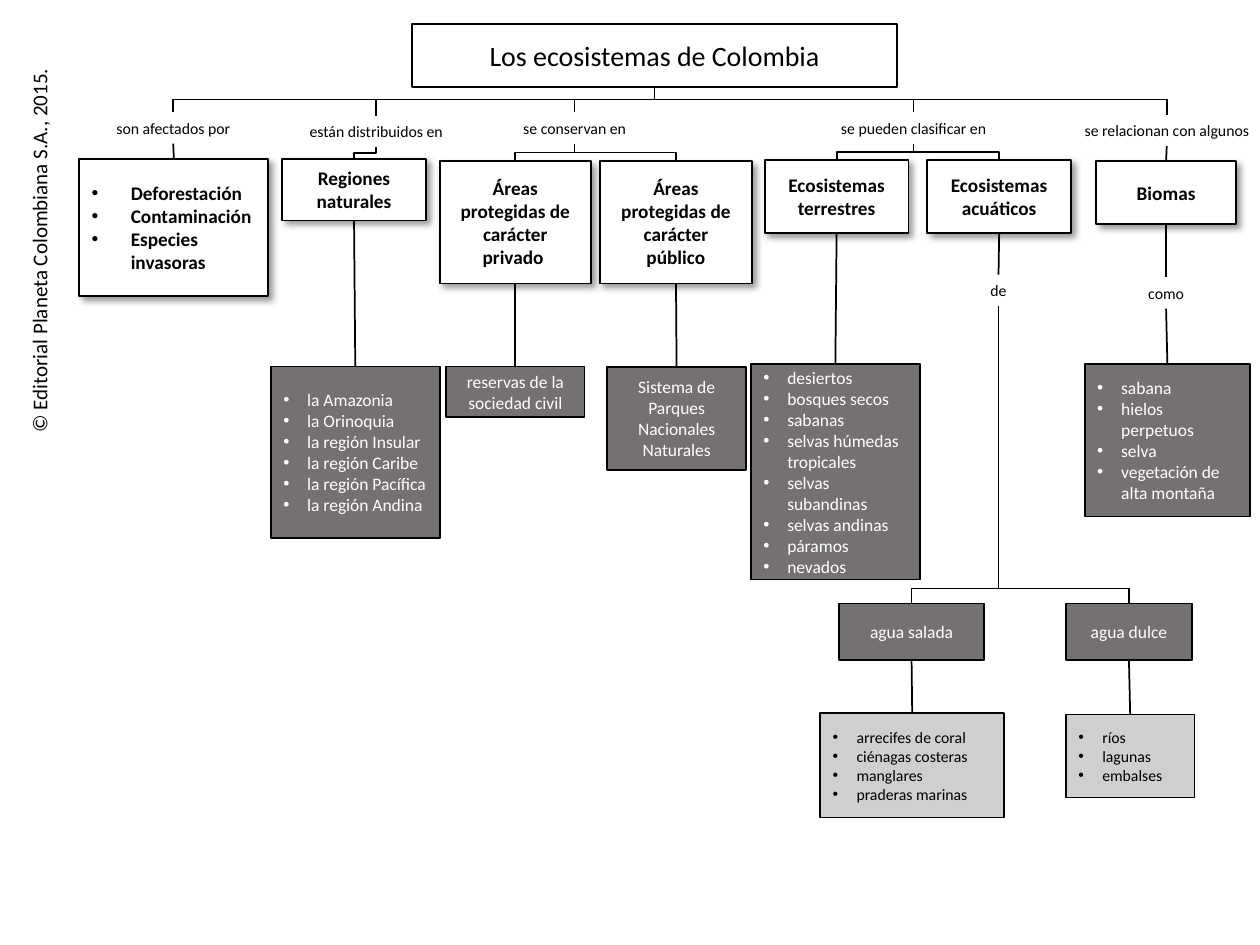
from lxml.etree import SubElement
from pptx import Presentation
from pptx.dml.color import RGBColor
from pptx.enum.shapes import MSO_CONNECTOR, MSO_SHAPE
from pptx.enum.text import MSO_ANCHOR, MSO_AUTO_SIZE, PP_ALIGN
from pptx.oxml.ns import qn
from pptx.util import Inches, Pt

BLACK = RGBColor(0x00, 0x00, 0x00)
WHITE = RGBColor(0xFF, 0xFF, 0xFF)
DARK_GRAY = RGBColor(0x76, 0x71, 0x71)
LIGHT_GRAY = RGBColor(0xD0, 0xCE, 0xCE)
FONT = "Calibri"
BOTTOM, TOP = 2, 0
BUS_TOP = 0.79
BOX_GAP = 0.47  # from the horizontal bus to the concept boxes


# Text and boxes
def style_paragraph(paragraph, size, color, bold=False):
    paragraph.font.name = FONT
    paragraph.font.size = Pt(size)
    paragraph.font.color.rgb = color
    paragraph.font.bold = bold


def add_bullet(paragraph, indent):
    properties = paragraph._p.get_or_add_pPr()
    properties.set("marL", str(Inches(indent)))
    properties.set("indent", str(-Inches(indent)))
    SubElement(properties, qn("a:buFont"), typeface="Arial")
    SubElement(properties, qn("a:buChar"), char="•")


def add_soft_shadow(shape):
    effects = shape._element.spPr.find(qn("a:effectLst"))
    shadow = SubElement(effects, qn("a:outerShdw"), blurRad=str(Pt(4)), dist=str(Pt(3)),
                        dir="2700000", algn="tl", rotWithShape="0")
    color = SubElement(shadow, qn("a:srgbClr"), val=str(BLACK))
    SubElement(color, qn("a:alpha"), val="40000")


def add_box(slide, left, top, width, height, lines, size, fill=WHITE, color=BLACK,
            bold=False, indent=None):
    shape = slide.shapes.add_shape(MSO_SHAPE.RECTANGLE, Inches(left), Inches(top),
                                   Inches(width), Inches(height))
    shape.shadow.inherit = False
    shape.fill.solid()
    shape.fill.fore_color.rgb = fill
    shape.line.color.rgb = BLACK
    shape.line.width = Pt(1)
    frame = shape.text_frame
    frame.word_wrap = True
    frame.vertical_anchor = MSO_ANCHOR.MIDDLE
    for index, line in enumerate(lines):
        paragraph = frame.add_paragraph() if index else frame.paragraphs[0]
        paragraph.text = line
        paragraph.alignment = PP_ALIGN.LEFT if indent else PP_ALIGN.CENTER
        if indent:
            add_bullet(paragraph, indent)
        style_paragraph(paragraph, size, color, bold)
    return shape


def add_concept(slide, left, top, width, height, *lines, indent=None):
    shape = add_box(slide, left, top, width, height, lines, 11, bold=True, indent=indent)
    add_soft_shadow(shape)
    return shape


def add_detail(slide, left, top, width, height, *lines):
    indent = 0.19 if len(lines) > 1 else None
    return add_box(slide, left, top, width, height, lines, 10, DARK_GRAY, WHITE, indent=indent)


def add_example(slide, left, top, width, height, *lines):
    return add_box(slide, left, top, width, height, lines, 9, LIGHT_GRAY, indent=0.19)


def add_label(slide, left, top, width, text):
    label = slide.shapes.add_textbox(Inches(left), Inches(top), Inches(width), Inches(0.25))
    frame = label.text_frame
    frame.word_wrap = True
    frame.auto_size = MSO_AUTO_SIZE.SHAPE_TO_FIT_TEXT
    frame.paragraphs[0].text = text
    frame.paragraphs[0].alignment = PP_ALIGN.CENTER
    style_paragraph(frame.paragraphs[0], 9, BLACK)
    return label


# Lines
def center(shape):
    return shape.left + shape.width // 2


def add_line(slide, kind, x1, y1, x2, y2):
    connector = slide.shapes.add_connector(kind, x1, y1, x2, y2)
    connector.line.color.rgb = BLACK
    connector.line.width = Pt(1)
    SubElement(connector._element.spPr, qn("a:effectLst"))
    return connector


def link(slide, upper, lower):
    connector = add_line(slide, MSO_CONNECTOR.STRAIGHT, center(upper),
                         upper.top + upper.height, center(lower), lower.top)
    connector.begin_connect(upper, BOTTOM)
    connector.end_connect(lower, TOP)


def link_to_bus(slide, label):
    connector = add_line(slide, MSO_CONNECTOR.STRAIGHT, center(label), Inches(BUS_TOP),
                         center(label), label.top)
    connector.end_connect(label, TOP)


def link_down(slide, upper, lower, bend=0.5):
    """Elbow that leaves downwards, crosses over and enters downwards."""
    x1, y1, x2, y2 = center(upper), upper.top + upper.height, center(lower), lower.top
    width, height = y2 - y1, abs(x2 - x1)
    left, top = (x1 + x2 - width) // 2, (y1 + y2 - height) // 2
    connector = add_line(slide, MSO_CONNECTOR.ELBOW, left, top, left + width, top + height)
    properties = connector._element.spPr
    properties.xfrm.set("rot", "5400000" if x2 < x1 else "16200000")
    if x2 > x1:
        properties.xfrm.set("flipH", "1")
    guides = properties.find(qn("a:prstGeom")).find(qn("a:avLst"))
    SubElement(guides, qn("a:gd"), name="adj1", fmla=f"val {round(bend * 100000)}")


def link_corner(slide, source, bend_top, lower):
    """Elbow that runs right from below the source, then down."""
    connector = add_line(slide, MSO_CONNECTOR.ELBOW, center(source), Inches(bend_top),
                         center(lower), lower.top)
    connector._element.spPr.find(qn("a:prstGeom")).set("prst", "bentConnector2")


# Regions of the concept map
def add_copyright(slide, left, top, width, height):
    box = slide.shapes.add_textbox(Inches(left), Inches(top), Inches(width), Inches(height))
    box.rotation = 270
    box.text_frame.word_wrap = False
    box.text_frame.auto_size = MSO_AUTO_SIZE.SHAPE_TO_FIT_TEXT
    paragraph = box.text_frame.paragraphs[0]
    paragraph.text = "© Editorial Planeta Colombiana S.A., 2015."
    style_paragraph(paragraph, 12, BLACK)


def add_threats(slide, left, top):
    label = add_label(slide, left - 0.26, top + 0.1, 2.01, "son afectados por")
    threats = add_concept(slide, left, top + BOX_GAP, 1.5, 1.09, "Deforestación",
                          "Contaminación", "Especies invasoras", indent=0.31)
    link(slide, label, threats)
    return label


def add_natural_regions(slide, left, top):
    label = add_label(slide, left - 0.24, top + 0.13, 2.15, "están distribuidos en")
    regions = add_concept(slide, left + 0.09, top + BOX_GAP, 1.14, 0.49, "Regiones naturales")
    names = add_detail(slide, left, top + 2.12, 1.34, 1.36, "la Amazonia", "la Orinoquia",
                       "la región Insular", "la región Caribe", "la región Pacífica",
                       "la región Andina")
    link_to_bus(slide, label)
    link_down(slide, label, regions)
    link(slide, regions, names)


def add_conservation(slide, left, top):
    label = add_label(slide, left + 0.33, top + 0.1, 1.48, "se conservan en")
    private = add_concept(slide, left, top + 0.49, 1.2, 0.97,
                          "Áreas protegidas de carácter privado ")
    public = add_concept(slide, left + 1.27, top + 0.49, 1.21, 0.97,
                         "Áreas protegidas de carácter público")
    reserves = add_detail(slide, left + 0.05, top + 2.12, 1.1, 0.4,
                          "reservas de la sociedad civil")
    parks = add_detail(slide, left + 1.33, top + 2.12, 1.1, 0.82,
                       "Sistema de Parques Nacionales Naturales")
    link_to_bus(slide, label)
    link_down(slide, label, private)
    link_corner(slide, label, top + 0.42, public)
    link(slide, private, reserves)
    link(slide, public, parks)


def add_classification(slide, left, top):
    label = add_label(slide, left + 0.55, top + 0.1, 1.48, "se pueden clasificar en")
    land = add_concept(slide, left + 0.11, top + 0.48, 1.14, 0.58, "Ecosistemas terrestres")
    water = add_concept(slide, left + 1.4, top + 0.48, 1.14, 0.58, "Ecosistemas acuáticos")
    kinds = add_detail(slide, left, top + 2.1, 1.34, 1.71, "desiertos", "bosques secos",
                       "sabanas", "selvas húmedas tropicales", "selvas subandinas",
                       "selvas andinas", "páramos", "nevados")
    link_to_bus(slide, label)
    link_down(slide, label, land)
    link_down(slide, label, water)
    link(slide, land, kinds)
    return water


def add_water_types(slide, left, top, water):
    label = add_label(slide, left + 1.21, top + 0.33, 0.41, "de")
    salt = add_detail(slide, left + 0.15, top + 2.94, 1.15, 0.45, "agua salada")
    fresh = add_detail(slide, left + 1.95, top + 2.94, 1, 0.45, "agua dulce")
    marine = add_example(slide, left, top + 3.81, 1.46, 0.83, "arrecifes de coral",
                         "ciénagas costeras", "manglares", "praderas marinas")
    inland = add_example(slide, left + 1.95, top + 3.82, 1.02, 0.66, "ríos", "lagunas",
                         "embalses")
    link(slide, water, label)
    link_down(slide, label, salt, bend=0.95)
    link_corner(slide, label, top + 2.82, fresh)
    link(slide, salt, marine)
    link(slide, fresh, inland)


def add_biomes(slide, left, top):
    label = add_label(slide, left, top + 0.12, 1.72, "se relacionan con algunos")
    biomes = add_concept(slide, left + 0.3, top + 0.49, 1.11, 0.5, "Biomas")
    such_as = add_label(slide, left + 0.57, top + 1.41, 0.57, "como")
    kinds = add_detail(slide, left + 0.21, top + 2.1, 1.31, 1.21, "sabana",
                       "hielos perpetuos", "selva", "vegetación de alta montaña")
    for upper, lower in ((label, biomes), (biomes, such_as), (such_as, kinds)):
        link(slide, upper, lower)
    return label


def main():
    presentation = Presentation()
    presentation.slide_width, presentation.slide_height = Inches(10), Inches(7.5)
    slide = presentation.slides.add_slide(presentation.slide_layouts[6])
    add_copyright(slide, -1.25, 1.82, 3.12, 0.3)
    title = add_box(slide, 3.27, 0.19, 3.85, 0.5, ["Los ecosistemas de Colombia"], 16)
    first_label = add_threats(slide, 0.63, BUS_TOP)
    add_natural_regions(slide, 2.15, BUS_TOP)
    add_conservation(slide, 3.49, BUS_TOP)
    water = add_classification(slide, 5.96, BUS_TOP)
    add_water_types(slide, 6.51, 1.85, water)
    last_label = add_biomes(slide, 8.4, BUS_TOP)
    # Bus from the title to the outer branches
    link_down(slide, title, first_label)
    link_corner(slide, title, BUS_TOP, last_label)
    presentation.save("out.pptx")


if __name__ == "__main__":
    main()
